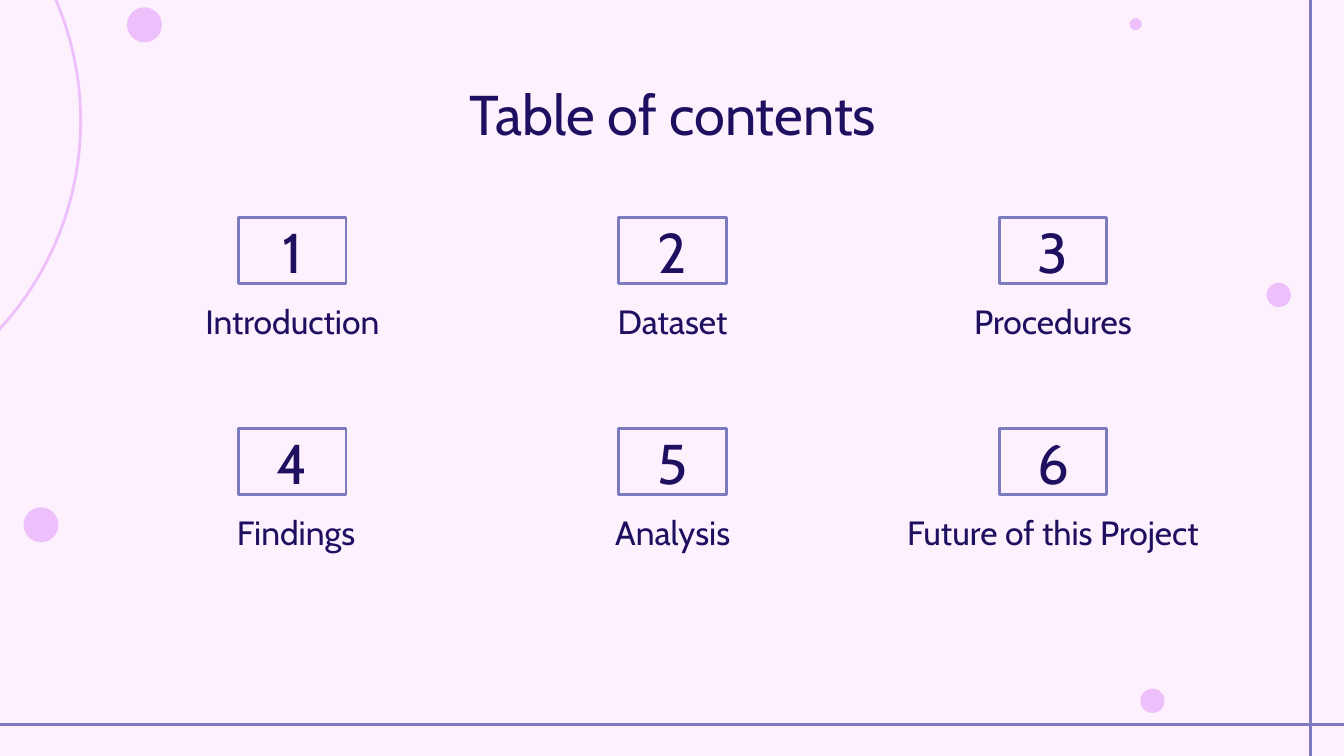
"""Build a table of contents slide with six numbered topics."""
from lxml import etree
from pptx import Presentation
from pptx.dml.color import RGBColor
from pptx.enum.shapes import MSO_CONNECTOR, MSO_SHAPE
from pptx.enum.text import MSO_ANCHOR, MSO_AUTO_SIZE, PP_ALIGN
from pptx.oxml.ns import qn
from pptx.util import Inches, Pt

OVAL, RECT = MSO_SHAPE.OVAL, MSO_SHAPE.RECTANGLE
LINE = MSO_CONNECTOR.STRAIGHT
TOP, MIDDLE = MSO_ANCHOR.TOP, MSO_ANCHOR.MIDDLE
CENTER = PP_ALIGN.CENTER
NO_FIT = MSO_AUTO_SIZE.NONE

WIDE = 10
HIGH = WIDE * 9 / 16

TITLE = "Table of contents"
TOPICS = ["Introduction", "Dataset", "Procedures",
          " Findings", "Analysis", "Future of this Project"]
DOTS = [(0.95, 0.06, 0.25), (8.49, 5.13, 0.17), (8.41, 0.14, 0.08),
        (9.43, 2.11, 0.17), (0.18, 3.78, 0.25)]
RULES = [(9.75, 0, 9.75, HIGH), (0, 5.39, WIDE, 5.39)]

FONT = "Cabin"
PAPER, INK, PINK, BLUE = "FCF1FC", "1F0F61", "EEC0FB", "7B7BBE"
COLS = 3
LEFT, FIRST = 0.79, 1.62
STEP_X, STEP_Y = 2.83, 1.57
CELL_W, BOX_W, BOX_H = 2.77, 0.8, 0.49
LABEL_Y = 0.52


def paint(color, code):
    color.rgb = RGBColor.from_string(code)


def write(shape, text, size=18, anchor=TOP):
    frame = shape.text_frame
    frame.auto_size = NO_FIT
    frame.word_wrap = True
    frame.vertical_anchor = anchor
    frame.margin_left = frame.margin_right = Inches(0.1)
    frame.margin_top = frame.margin_bottom = Inches(0.1)
    para = frame.paragraphs[0]
    para.alignment = CENTER
    run = para.add_run()
    run.text = text
    run.font.name = FONT
    run.font.size = Pt(size)
    paint(run.font.color, INK)


def draw(slide, kind, place, line, width=1.5, fill=None):
    shape = slide.shapes.add_shape(kind, *map(Inches, place))
    shape.shadow.inherit = False
    if fill:
        shape.fill.solid()
        paint(shape.fill.fore_color, fill)
    else:
        shape.fill.background()
    paint(shape.line.color, line)
    shape.line.width = Pt(width)
    return shape


def rule(slide, ends):
    line = slide.shapes.add_connector(LINE, *map(Inches, ends))
    paint(line.line.color, BLUE)
    line.line.width = Pt(1.5)
    props = line._element.find(qn("p:spPr"))
    etree.SubElement(props, qn("a:effectLst"))


def topic(slide, index, text):
    row, col = divmod(index, COLS)
    x, y = LEFT + col * STEP_X, FIRST + row * STEP_Y
    inset = (CELL_W - BOX_W) / 2
    box = draw(slide, RECT, (x + inset, y, BOX_W, BOX_H), BLUE)
    write(box, str(index + 1), size=30, anchor=MIDDLE)
    place = (x, y + LABEL_Y, CELL_W, BOX_H)
    write(slide.shapes.add_textbox(*map(Inches, place)), text)


def main():
    deck = Presentation()
    deck.slide_width, deck.slide_height = Inches(WIDE), Inches(HIGH)
    slide = deck.slides.add_slide(deck.slide_layouts[5])
    back = slide.background.fill
    back.solid()
    paint(back.fore_color, PAPER)

    draw(slide, OVAL, (-3.98, -1.39, 4.58, 4.58), PINK)
    for x, y, size in DOTS:
        draw(slide, OVAL, (x, y, size, size), PINK, 0.75, PINK)
    for ends in RULES:
        rule(slide, ends)

    title = slide.shapes.title
    title.left, title.top = Inches(LEFT), Inches(0.49)
    title.width, title.height = Inches(8.43), Inches(0.63)
    write(title, TITLE, size=30)
    for index, text in enumerate(TOPICS):
        topic(slide, index, text)
    deck.save("out.pptx")


if __name__ == "__main__":
    main()
